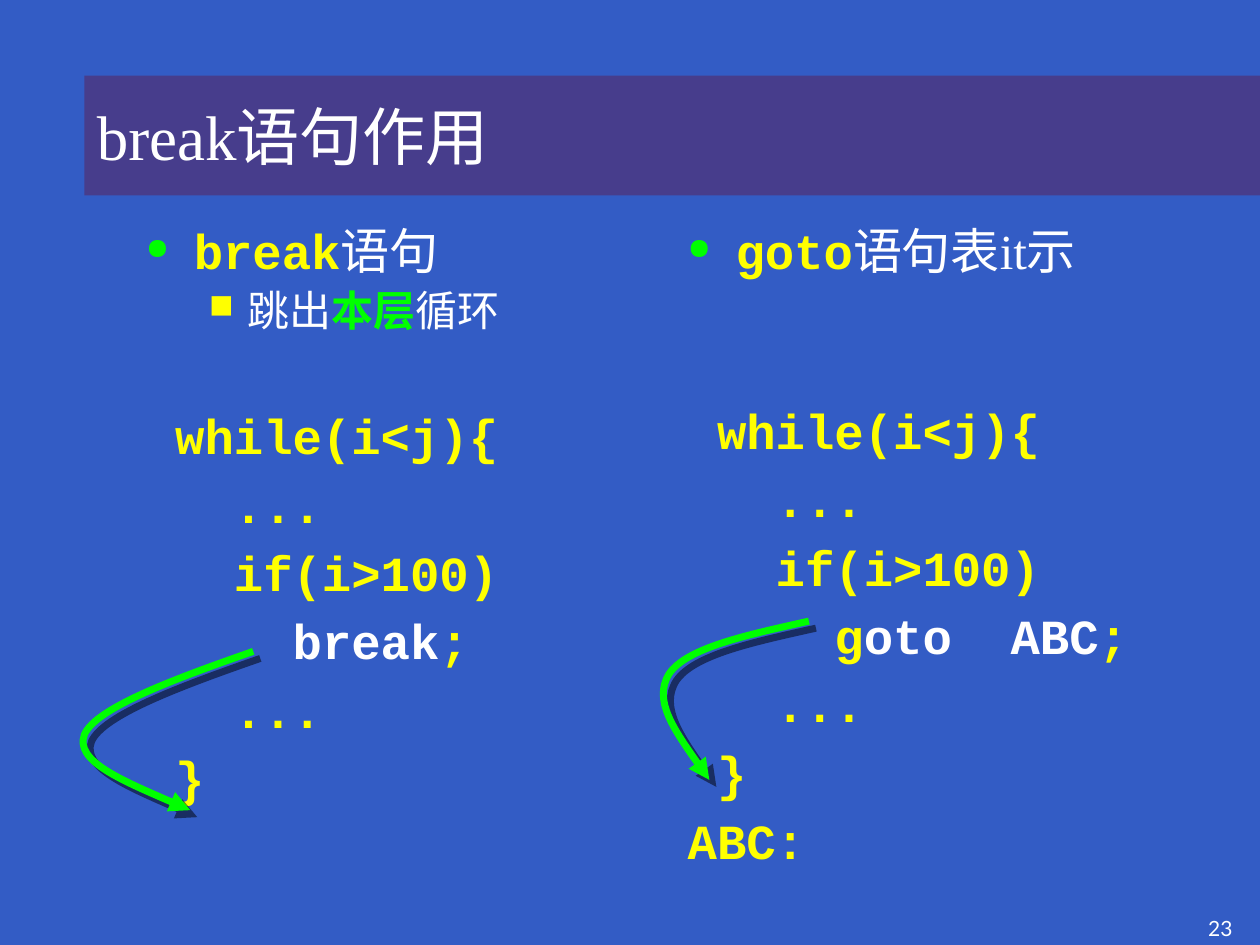
"""Build a slide comparing the break and goto statements."""
from lxml import etree
from pptx import Presentation
from pptx.dml.color import RGBColor
from pptx.enum.shapes import MSO_SHAPE
from pptx.enum.text import MSO_ANCHOR, PP_ALIGN
from pptx.oxml.ns import qn
from pptx.util import Inches, Pt

RECT = MSO_SHAPE.RECTANGLE
MIDDLE = MSO_ANCHOR.MIDDLE
LEFT = PP_ALIGN.LEFT
WHITE, YELLOW, GREEN = "FFFFFF", "FFFF00", "00FF00"
SERIF, MONO = "Times New Roman", "Courier New"


def hue(code):
    return RGBColor.from_string(code)


def put(frame, *runs, size=28, font=SERIF, color=WHITE, bold=False,
        before=0, lines=None, margin=0, hang=0, bullet=None):
    first = frame.paragraphs[0]
    para = frame.add_paragraph() if first.runs else first
    props = para._p.get_or_add_pPr()
    props.set("marL", str(Inches(margin)))
    props.set("indent", str(-Inches(hang)))
    if bullet:
        mark, tint, scale = bullet
        tone = etree.SubElement(props, qn("a:buClr"))
        etree.SubElement(tone, qn("a:srgbClr"), val=tint)
        etree.SubElement(props, qn("a:buSzPct"), val=str(scale * 1000))
        etree.SubElement(props, qn("a:buChar"), char=mark)
    para.alignment = LEFT
    if before:
        para.space_before = Pt(before)
    if lines:
        para.line_spacing = lines
    for item in runs:
        text, look = (item, {}) if isinstance(item, str) else item
        run = para.add_run()
        run.text = text
        run.font.size = Pt(size)
        run.font.name = look.get("font", font)
        run.font.bold = look.get("bold", bold)
        run.font.color.rgb = hue(look.get("color", color))


deck = Presentation()
deck.slide_width, deck.slide_height = Inches(10), Inches(7.5)
slide = deck.slides.add_slide(deck.slide_layouts[6])
back = slide.background.fill
back.solid()
back.fore_color.rgb = hue("335CC5")
shapes = slide.shapes

number = shapes.add_textbox(Inches(9.49), Inches(7.22), Inches(0.51), Inches(0.28))
number.text_frame.word_wrap = True
put(number.text_frame, "23", size=12, font="Lato")

title = shapes.add_shape(RECT, Inches(0.67), Inches(0.6), Inches(9.33), Inches(0.95))
title.shadow.inherit = False
title.fill.solid()
title.fill.fore_color.rgb = hue("473D8C")
title.line.fill.background()
title.text_frame.word_wrap = True
title.text_frame.vertical_anchor = MIDDLE
put(title.text_frame, "break语句作用", size=36)

code = {"font": MONO, "color": YELLOW, "bold": True}
white = {"color": WHITE}
strong = {"color": GREEN, "bold": True}
start = [" while(i<j){", "   ...", "   if(i>100)"]
finish = ["   ...", " }"]
columns = [
    (1.06, "break", "语句", ["跳出", ("本层", strong), "循环"], 44,
     ["     ", ("break", white), ";"], []),
    (5.36, "goto", "语句表it示", [], 73,
     ["     g", ("oto  ABC", white), ";"], ["ABC:"]),
]
for left, word, label, note, gap, jump, target in columns:
    box = shapes.add_textbox(Inches(left), Inches(1.75), Inches(4.14), Inches(5.23))
    frame = box.text_frame
    frame.word_wrap = True
    put(frame, (word, code), label, lines=0.9, margin=0.38, hang=0.38,
        bullet=("●", GREEN, 60))
    if note:
        put(frame, *note, size=24, before=6, lines=0.9, margin=0.81, hang=0.31,
            bullet=("■", YELLOW, 80))
    for row, line in enumerate([*start, jump, *finish, *target]):
        parts = [line] if isinstance(line, str) else line
        put(frame, *parts, before=8.8 if row else gap, lines=0.9,
            margin=0.38, hang=0.38, **code)

curves = [
    [(2.01, 5.17), (1.38, 5.39), (0.76, 5.62), (0.67, 5.83),
     (0.59, 6.04), (1.05, 6.23), (1.51, 6.43)],
    [(6.42, 4.93), (5.93, 5.04), (5.45, 5.14), (5.31, 5.35),
     (5.18, 5.56), (5.41, 5.88), (5.63, 6.19)],
]
for points in curves:
    knots = [(Inches(x), Inches(y)) for x, y in points]
    pen = shapes.build_freeform(*knots[0])
    pen.add_line_segments(knots[1:], close=False)
    arrow = pen.convert_to_shape()
    steps = list(arrow._element.iter(qn("a:lnTo")))
    for pos in range(0, len(steps), 3):
        bend = etree.Element(qn("a:cubicBezTo"))
        steps[pos].addprevious(bend)
        for step in steps[pos:pos + 3]:
            bend.append(step[0])
            step.getparent().remove(step)
    arrow.fill.background()
    arrow.line.color.rgb = hue(GREEN)
    arrow.line.width = Pt(4)
    stroke = next(arrow._element.iter(qn("a:ln")))
    etree.SubElement(stroke, qn("a:tailEnd"), type="triangle")
    arrow.shadow.inherit = False
    effect = next(arrow._element.iter(qn("a:effectLst")))
    shade = etree.SubElement(effect, qn("a:outerShdw"), dist=str(Pt(5.7)),
                             dir="2700000", algn="ctr", rotWithShape="0")
    tone = etree.SubElement(shade, qn("a:srgbClr"), val="000000")
    etree.SubElement(tone, qn("a:alpha"), val="50000")

deck.save("out.pptx")
